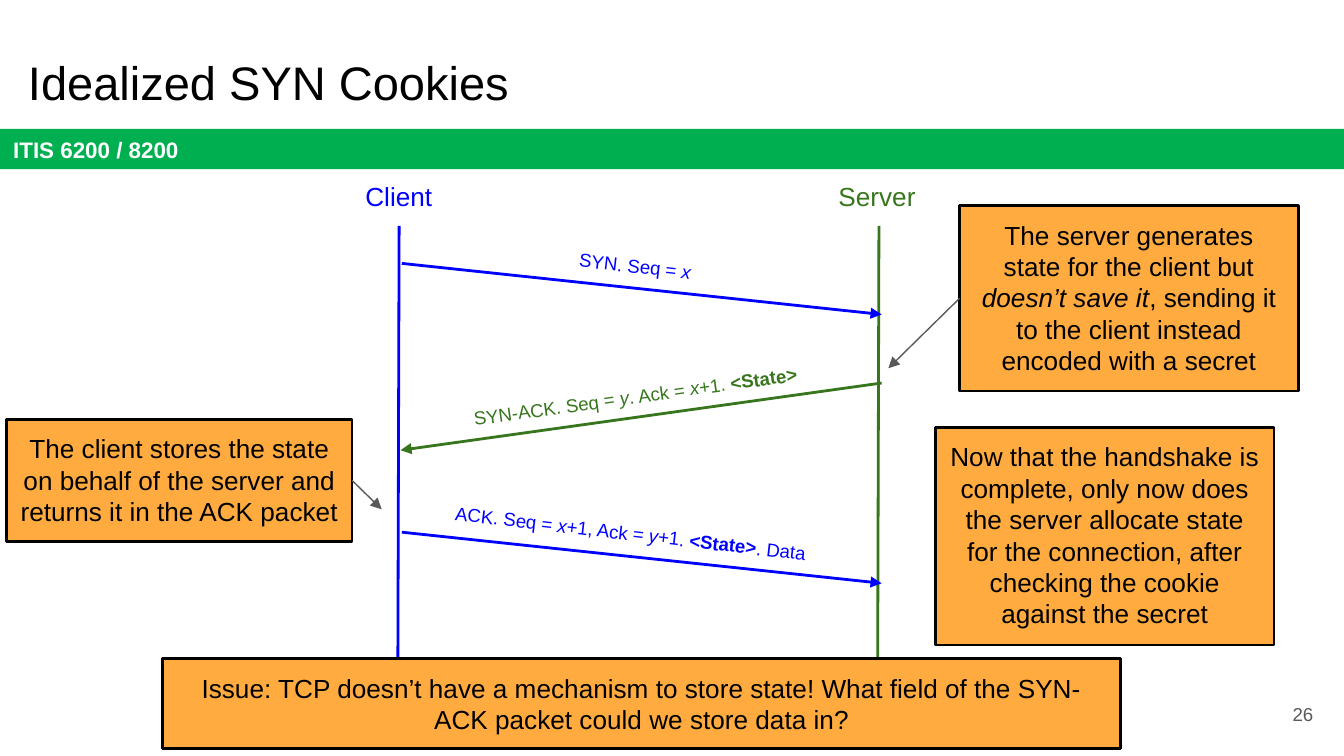
"""Build the Idealized SYN Cookies slide: a handshake diagram with notes."""
from pptx import Presentation
from pptx.dml.color import RGBColor
from pptx.enum.shapes import MSO_CONNECTOR as Connector, MSO_SHAPE as Shape
from pptx.enum.text import MSO_ANCHOR as Anchor, PP_ALIGN as Align
from pptx.oxml.ns import qn
from pptx.util import Inches, Pt
from lxml.etree import SubElement

COLORS = {
    "band": "00B050", "client": "0000FF", "server": "38761D", "note": "FFAB40",
    "black": "000000", "white": "FFFFFF", "gray": "595959",
}


def write(box, spans, color, size, align=Align.LEFT, anchor=Anchor.TOP, wrap=True):
    frame = box.text_frame
    margins = {f"margin_{side}": Inches(0.1) for side in ("left", "top", "right", "bottom")}
    for name, value in {**margins, "word_wrap": wrap, "vertical_anchor": anchor}.items():
        setattr(frame, name, value)
    para = frame.paragraphs[0]
    para.alignment = align
    for text, style in spans:
        span = para.add_run()
        span.text = text
        looks = {"name": "Arial", "size": Pt(size), "bold": style == "b", "italic": style == "i"}
        for name, value in looks.items():
            setattr(span.font, name, value)
        span.font.color.rgb = RGBColor.from_string(COLORS[color])


def draw_line(start, end, color, width=1.5, arrow=True):
    line = page.shapes.add_connector(Connector.STRAIGHT, *map(Inches, start + end))
    line.line.color.rgb = RGBColor.from_string(COLORS[color])
    line.line.width = Pt(width)
    properties = line._element.spPr
    if arrow:
        SubElement(properties.find(qn("a:ln")), qn("a:tailEnd"), type="triangle")
    SubElement(properties, qn("a:effectLst"))
    return line


deck = Presentation()
deck.slide_width, deck.slide_height = Inches(10), Inches(10) * 9 // 16
page = deck.slides.add_slide(deck.slide_layouts[6])

band = page.shapes.add_shape(Shape.RECTANGLE, *map(Inches, (0, 0.96, 10, 0.3)))
band.shadow.inherit = False
band.fill.solid()
band.fill.fore_color.rgb = RGBColor.from_string(COLORS["band"])
band.line.fill.background()
write(band, [("ITIS 6200 / 8200", "b")], "white", 12, anchor=Anchor.MIDDLE)

title = page.shapes.add_textbox(*map(Inches, (0.11, 0.3, 9.32, 0.63)))
write(title, [("Idealized SYN Cookies", "")], "black", 25.2)
number = page.shapes.add_textbox(*map(Inches, (9.27, 5.1, 0.6, 0.43)))
write(number, [("26", "")], "gray", 10, Align.RIGHT, Anchor.MIDDLE)

for name, color, left, width, line_x in (
    ("Client", "client", 2.62, 0.71, 2.97),
    ("Server", "server", 6.14, 0.78, 6.54),
):
    label = page.shapes.add_textbox(*map(Inches, (left, 1.24, width, 0.44)))
    write(label, [(name, "")], color, 14, wrap=False)
    draw_line((line_x, 1.68), (line_x - 0.01, 5.06), color, arrow=False)

messages = [
    ("client", (2.99, 1.96), (6.56, 2.34), (2.97, 1.81, 3.51, 0.37), 6.6,
     [("SYN. Seq = ", ""), ("x", "i")]),
    ("server", (6.56, 2.85), (2.98, 3.35), (3.1, 2.78, 3.26, 0.37), 352.1,
     [("SYN-ACK. Seq = ", ""), ("y", "i"), (". Ack = ", ""), ("x", "i"), ("+1. ", ""),
      ("<State>", "b")]),
    ("client", (2.99, 3.96), (6.56, 4.34), (2.98, 3.8, 3.42, 0.37), 6.6,
     [("ACK. Seq = ", ""), ("x", "i"), ("+1, Ack = ", ""), ("y", "i"), ("+1. ", ""),
      ("<State>", "b"), (". Data", "")]),
]
for color, start, end, bounds, angle, spans in messages:
    draw_line(start, end, color)
    caption = page.shapes.add_textbox(*map(Inches, bounds))
    caption.rotation = angle
    write(caption, spans, color, 10, Align.CENTER)

notes = [
    ((7.14, 1.53, 2.52, 1.38), (1, (7.14, 2.22), (6.61, 2.74)),
     [("The server generates state for the client but ", ""), ("doesn’t save it", "i"),
      (", sending it to the client instead encoded with a secret", "")]),
    ((0.05, 3.12, 2.57, 0.91), (3, (2.62, 3.58), (2.84, 3.79)),
     [("The client stores the state on behalf of the server and returns it in the ACK packet", "")]),
    ((6.96, 3.18, 2.52, 1.62), None,
     [("Now that the handshake is complete, only now does the server allocate state for the "
       "connection, after checking the cookie against the secret", "")]),
    ((1.21, 4.9, 7.13, 0.67), None,
     [("Issue: TCP doesn’t have a mechanism to store state! What field of the SYN-ACK packet "
       "could we store data in?", "")]),
]
for bounds, pointer, spans in notes:
    note = page.shapes.add_shape(Shape.RECTANGLE, *map(Inches, bounds))
    note.shadow.inherit = False
    note.fill.solid()
    note.fill.fore_color.rgb = RGBColor.from_string(COLORS["note"])
    note.line.color.rgb = RGBColor.from_string(COLORS["black"])
    note.line.width = Pt(1.5)
    write(note, spans, "black", 14, Align.CENTER)
    if pointer:
        side, start, end = pointer
        draw_line(start, end, "gray", 0.75).begin_connect(note, side)

deck.save("out.pptx")
